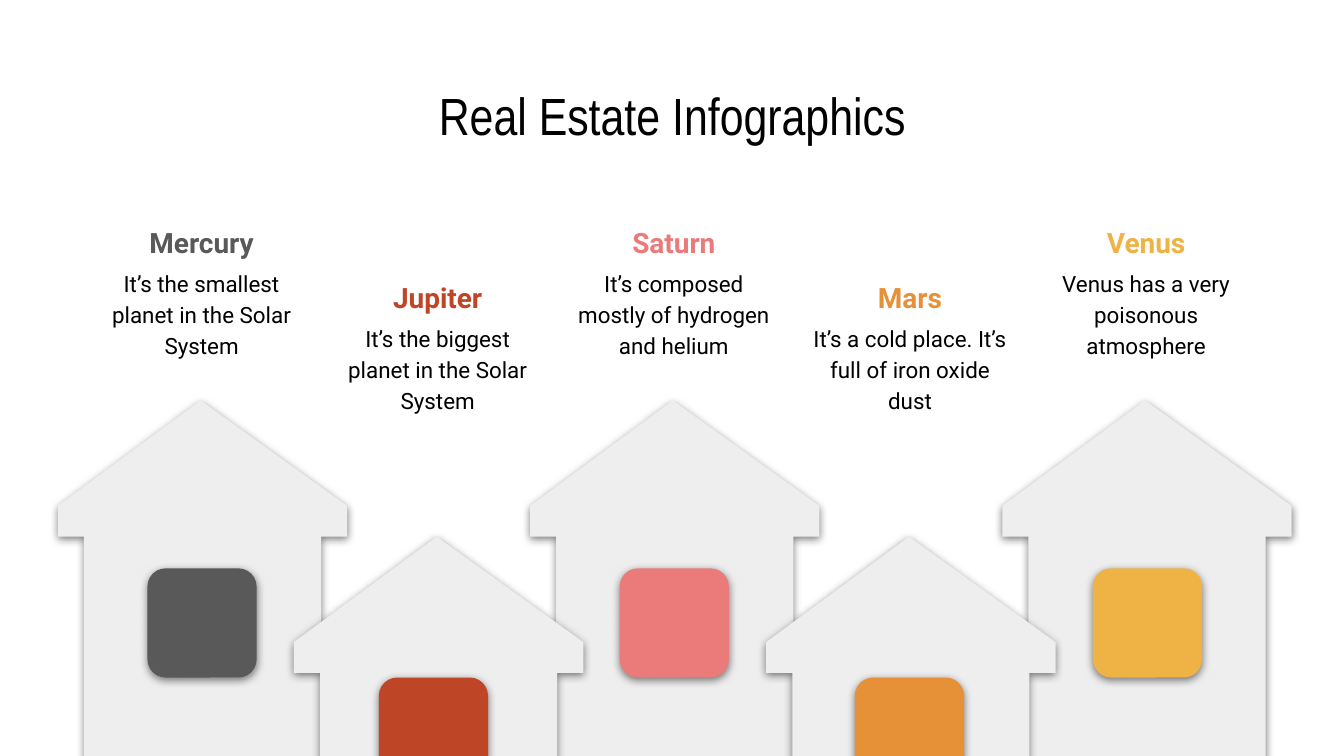
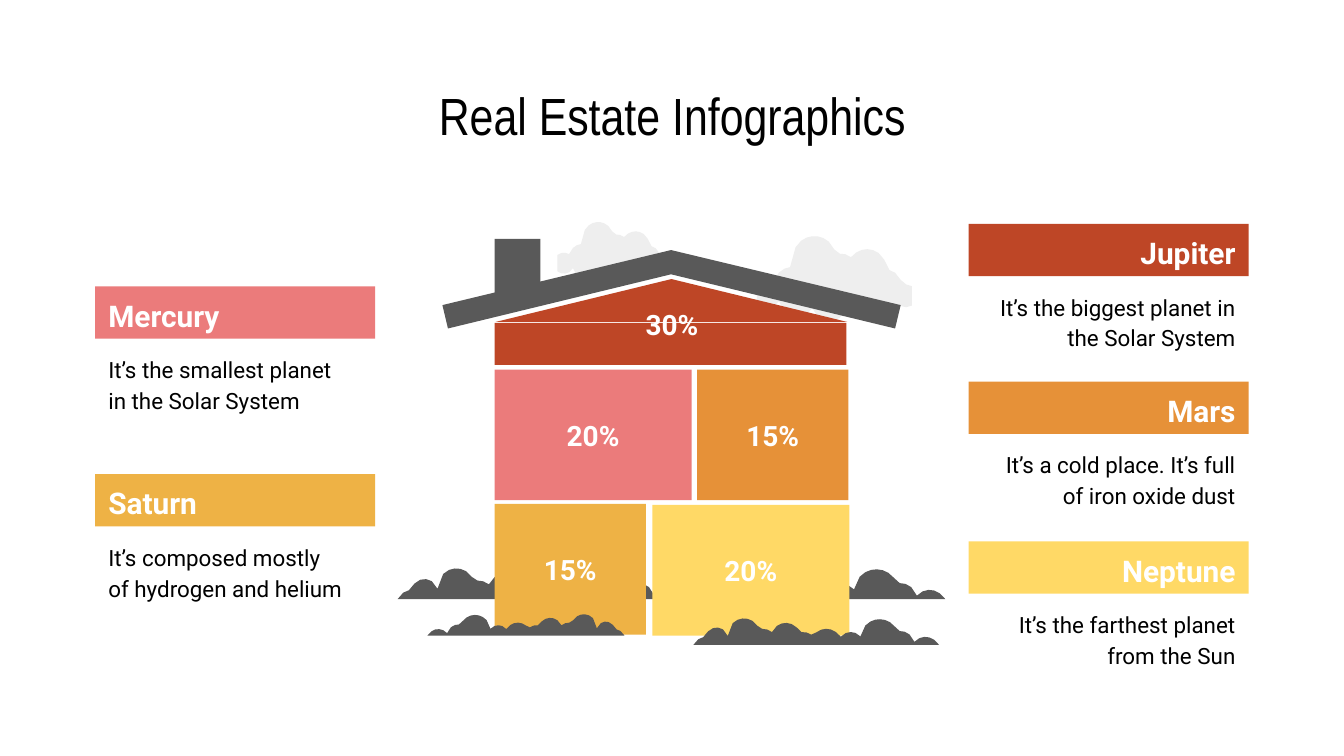
"""Build two real estate infographic slides."""
import math
from dataclasses import dataclass
from typing import Any, NamedTuple, Optional

import pptx
import pptx.dml.color
import pptx.enum.shapes
import pptx.enum.text
import pptx.util
from lxml import etree

Pt = pptx.util.Pt
ALIGN = pptx.enum.text.PP_ALIGN
ANCHOR = pptx.enum.text.MSO_ANCHOR
SHAPE = pptx.enum.shapes.MSO_SHAPE
DRAWING = "http://schemas.openxmlformats.org/drawingml/2006/main"


@dataclass(frozen=True)
class Theme:
    """Colours, fonts and type sizes of the deck."""

    black: str = "000000"
    white: str = "FFFFFF"
    grey: str = "595959"
    pale: str = "EEEEEE"
    pink: str = "EB7B7B"
    red: str = "BE4626"
    orange: str = "E69138"
    amber: str = "EEB245"
    yellow: str = "FFD966"
    title_font: str = "Arial Narrow"
    body_font: str = "Roboto"
    title_size: float = 28
    label_size: float = 16
    heading_size: float = 15
    body_size: float = 12


THEME = Theme()


class Box(NamedTuple):
    """Left, top, width and height in points."""

    left: float
    top: float
    width: float
    height: float


class Style(NamedTuple):
    """Look of one piece of text."""

    size: float
    colour: str = THEME.black
    bold: bool = False
    align: Any = ALIGN.CENTER
    spacing: float = 1.0
    anchor: Any = ANCHOR.TOP
    font: str = THEME.body_font


class Row(NamedTuple):
    """Vertical places of one row of houses."""

    heading_top: float
    roof_top: float
    height: float
    window_top: float


class House(NamedTuple):
    """A planet with its house on the street."""

    planet: str
    fact: str
    colour: str
    row: Row
    window_left: float


class Label(NamedTuple):
    """A coloured planet label with a fact below it."""

    planet: str
    fact: str
    colour: str
    top: float
    on_right: bool


class Room(NamedTuple):
    """A share shown as a room of the house."""

    share: str
    colour: str
    box: Box


class Puff(NamedTuple):
    """A circle that makes up a cloud or a bush."""

    x: float
    y: float
    radius: float


BACK = Row(111, 214.5, 250, 304.5)
FRONT = Row(140.5, 287.5, 162, 363)
HOUSES = (
    House("Mercury", "It’s the smallest planet in the Solar System", THEME.grey, BACK, 79),
    House("Jupiter", "It’s the biggest planet in the Solar System", THEME.red, FRONT, 203),
    House("Saturn", "It’s composed mostly of hydrogen and helium", THEME.pink, BACK, 332),
    House("Mars", "It’s a cold place. It’s full of iron oxide dust", THEME.orange, FRONT, 458),
    House("Venus", "Venus has a very poisonous atmosphere", THEME.amber, BACK, 585.5),
)
LABELS = (
    Label("Mercury", "It’s the smallest planet in the Solar System", THEME.pink, 153.5, False),
    Label("Saturn", "It’s composed mostly of hydrogen and helium", THEME.amber, 254, False),
    Label("Jupiter", "It’s the biggest planet in the Solar System", THEME.red, 120, True),
    Label("Mars", "It’s a cold place. It’s full of iron oxide dust", THEME.orange, 204.5, True),
    Label("Neptune", "It’s the farthest planet from the Sun", THEME.yellow, 290, True),
)
ROOMS = (
    Room("20%", THEME.pink, Box(265, 198, 105.5, 70)),
    Room("15%", THEME.amber, Box(265, 270, 81, 70)),
    Room("15%", THEME.orange, Box(373.5, 198, 81, 70)),
    Room("20%", THEME.yellow, Box(349.5, 270.5, 105.5, 70)),
)
CLOUD = (
    Puff(33.8, 11.5, 11.5), Puff(48.2, 17.3, 7.9), Puff(62, 17.3, 10.3), Puff(72, 26.6, 8.6),
    Puff(82.8, 32, 6.1), Puff(71.3, 36.7, 5.8), Puff(59, 35.3, 9.4), Puff(41.8, 36, 9.5),
    Puff(24.5, 35.3, 8.6), Puff(7.9, 31, 7.9), Puff(21.6, 26, 9.4),
)
BUSH = (
    Puff(8, 3.9, 8.9), Puff(14.5, -3.6, 7.2), Puff(31.5, -6.7, 9.8), Puff(43.2, -1.4, 8.6),
    Puff(57.6, -4.3, 9.4), Puff(68.4, 0.6, 8.6), Puff(82.8, 0, 10), Puff(98, 0, 8),
    Puff(116, -4, 12), Puff(129, 0, 8.6), Puff(144.5, 4, 9),
)
BUSH_WIDTH = 153
CLOUD_WIDTH = 88.9


def rgb(colour: str) -> pptx.dml.color.RGBColor:
    """Return a colour object for a hex value."""
    return pptx.dml.color.RGBColor.from_string(colour)


def write(shape: Any, text: str, style: Style) -> None:
    """Put styled text into a shape."""
    frame = shape.text_frame
    frame.text = text
    frame.word_wrap = True
    frame.vertical_anchor = style.anchor
    frame.margin_left = frame.margin_right = Pt(7.2)
    frame.margin_top = frame.margin_bottom = Pt(7.2)
    paragraph = frame.paragraphs[0]
    paragraph.alignment = style.align
    paragraph.line_spacing = style.spacing
    font = paragraph.runs[0].font
    font.name, font.size, font.bold = style.font, Pt(style.size), style.bold
    font.color.rgb = rgb(style.colour)


def add_text(slide: Any, box: Box, text: str, style: Style) -> None:
    """Add a text box."""
    write(slide.shapes.add_textbox(*map(Pt, box)), text, style)


def paint(shape: Any, colour: str, shadow: bool) -> None:
    """Fill a shape without an outline, with or without a soft shadow."""
    shape.fill.solid()
    shape.fill.fore_color.rgb = rgb(colour)
    shape.line.fill.background()
    shape.shadow.inherit = False
    if shadow:
        effects = shape.element.spPr.find(f"{{{DRAWING}}}effectLst")
        outer = etree.SubElement(
            effects, f"{{{DRAWING}}}outerShdw", blurRad=str(int(Pt(4.5))),
            dist=str(int(Pt(1.5))), dir="5400000", algn="bl", rotWithShape="0")
        tint = etree.SubElement(outer, f"{{{DRAWING}}}srgbClr", val=THEME.black)
        etree.SubElement(tint, f"{{{DRAWING}}}alpha", val="50000")


def add_block(slide: Any, kind: Any, box: Box, colour: str, shadow: bool = False) -> Any:
    """Add a filled preset shape."""
    block = slide.shapes.add_shape(kind, *map(Pt, box))
    paint(block, colour, shadow)
    return block


def add_outline(slide: Any, points: list[tuple[float, float]], colour: str,
                shadow: bool = False) -> None:
    """Add a filled polygon."""
    start, *others = [(Pt(x), Pt(y)) for x, y in points]
    builder = slide.shapes.build_freeform(*start)
    builder.add_line_segments(others, close=True)
    paint(builder.convert_to_shape(), colour, shadow)


def silhouette(puffs: tuple[Puff, ...], width: float, steps: int,
               ground: Optional[float] = None) -> list[tuple[float, float]]:
    """Trace the outer edge of overlapping circles, cut flat at the ground if given."""
    upper, lower = [], []
    for step in range(1, steps):
        x = width * step / steps
        spans = [(puff.y, math.sqrt(puff.radius ** 2 - (x - puff.x) ** 2))
                 for puff in puffs if abs(x - puff.x) < puff.radius]
        top = min((y - half for y, half in spans), default=0)
        bottom = max((y + half for y, half in spans), default=0)
        upper.append((x, top if ground is None else min(top, ground)))
        lower.append((x, bottom))
    if ground is not None:
        return [(0, ground), *upper, (width, ground)]
    return upper + lower[::-1]


def add_cloud(slide: Any, left: float, top: float, scale: float) -> None:
    """Add a pale cloud."""
    edge = silhouette(CLOUD, CLOUD_WIDTH, 30)
    add_outline(slide, [(left + x * scale, top + y * scale) for x, y in edge], THEME.pale)


def add_bush(slide: Any, left: float, base: float, scale: float, mirrored: bool = False) -> None:
    """Add a row of bushes standing on its base line."""
    edge = silhouette(BUSH, BUSH_WIDTH, 50, 0)
    add_outline(slide, [(left + (BUSH_WIDTH - x if mirrored else x) * scale, base + y * scale)
                        for x, y in edge], THEME.grey)


def add_slide(deck: Any) -> Any:
    """Add a blank slide with the shared title."""
    slide = deck.slides.add_slide(deck.slide_layouts[6])
    add_text(slide, Box(225, 42.5, 270, 38), "Real Estate Infographics",
             Style(THEME.title_size, anchor=ANCHOR.MIDDLE, font=THEME.title_font))
    return slide


def add_house(slide: Any, house: House, left: float) -> None:
    """Add one house with its window, heading and fact."""
    width, wall, slope, eave = 155, 14, 56.5, 73
    row = house.row
    right, top, bottom = left + width, row.roof_top, row.roof_top + row.height
    add_outline(slide, [
        (left + width / 2 - 1, top), (left, top + slope), (left, top + eave),
        (left + wall, top + eave), (left + wall, bottom), (right - wall, bottom),
        (right - wall, top + eave), (right, top + eave), (right, top + slope),
    ], THEME.pale, True)
    add_block(slide, SHAPE.ROUNDED_RECTANGLE,
              Box(house.window_left, row.window_top, 58.5, 58.5), house.colour, True)
    add_text(slide, Box(left + 16.5, row.heading_top, 121, 29), house.planet,
             Style(THEME.heading_size, house.colour, True, spacing=1.15))
    add_text(slide, Box(left + 16.5, row.heading_top + 24.5, 121, 62.5), house.fact,
             Style(THEME.body_size, spacing=1.15))


def add_label(slide: Any, label: Label) -> None:
    """Add a planet label and its fact at the side of the house."""
    align = ALIGN.RIGHT if label.on_right else ALIGN.LEFT
    left = 519 if label.on_right else 51
    band = add_block(slide, SHAPE.RECTANGLE, Box(left, label.top, 150, 28), label.colour)
    write(band, label.planet,
          Style(THEME.label_size, THEME.white, True, align, 1.15, ANCHOR.MIDDLE))
    fact_left = left + 9 if label.on_right else left
    add_text(slide, Box(fact_left, label.top + 28, 141, 45), label.fact,
             Style(THEME.body_size, align=align, spacing=1.15))


def build_street(deck: Any) -> None:
    """Build the street of five houses."""
    slide = add_slide(deck)
    for row in (BACK, FRONT):
        for index, house in enumerate(HOUSES):
            if house.row == row:
                add_house(slide, house, 31 + 126.5 * index)


def build_shares(deck: Any) -> None:
    """Build the house divided into shares."""
    slide = add_slide(deck)
    for label in LABELS:
        add_label(slide, label)
    add_cloud(slide, 402.5, 126.5, 1)
    add_cloud(slide, 296.5, 119, 0.71)
    add_bush(slide, 353.5, 321, 1)
    add_bush(slide, 213, 321, 1)
    share = Style(THEME.heading_size, THEME.white, True, anchor=ANCHOR.MIDDLE)
    for room in ROOMS:
        write(add_block(slide, SHAPE.RECTANGLE, room.box, room.colour), room.share, share)
    add_bush(slide, 371.5, 345.5, 0.86)
    add_bush(slide, 229, 340.5, 0.69, True)
    add_outline(slide, [(359.5, 134), (237, 163.5), (240, 176), (359.5, 147),
                        (479.5, 176), (482.5, 163.5)], THEME.grey)
    add_block(slide, SHAPE.RECTANGLE, Box(265, 128, 24.5, 31), THEME.grey)
    add_block(slide, SHAPE.RECTANGLE, Box(265, 173, 188.5, 22.5), THEME.red)
    add_block(slide, SHAPE.ISOSCELES_TRIANGLE, Box(265.5, 149.5, 188.5, 23), THEME.red)
    add_text(slide, Box(336, 157.5, 48, 32.5), "30%", share._replace(anchor=ANCHOR.TOP))


def main() -> None:
    """Build and save the deck."""
    deck = pptx.Presentation()
    deck.slide_width, deck.slide_height = Pt(720), Pt(405)
    build_street(deck)
    build_shares(deck)
    deck.save("out.pptx")


if __name__ == "__main__":
    main()
